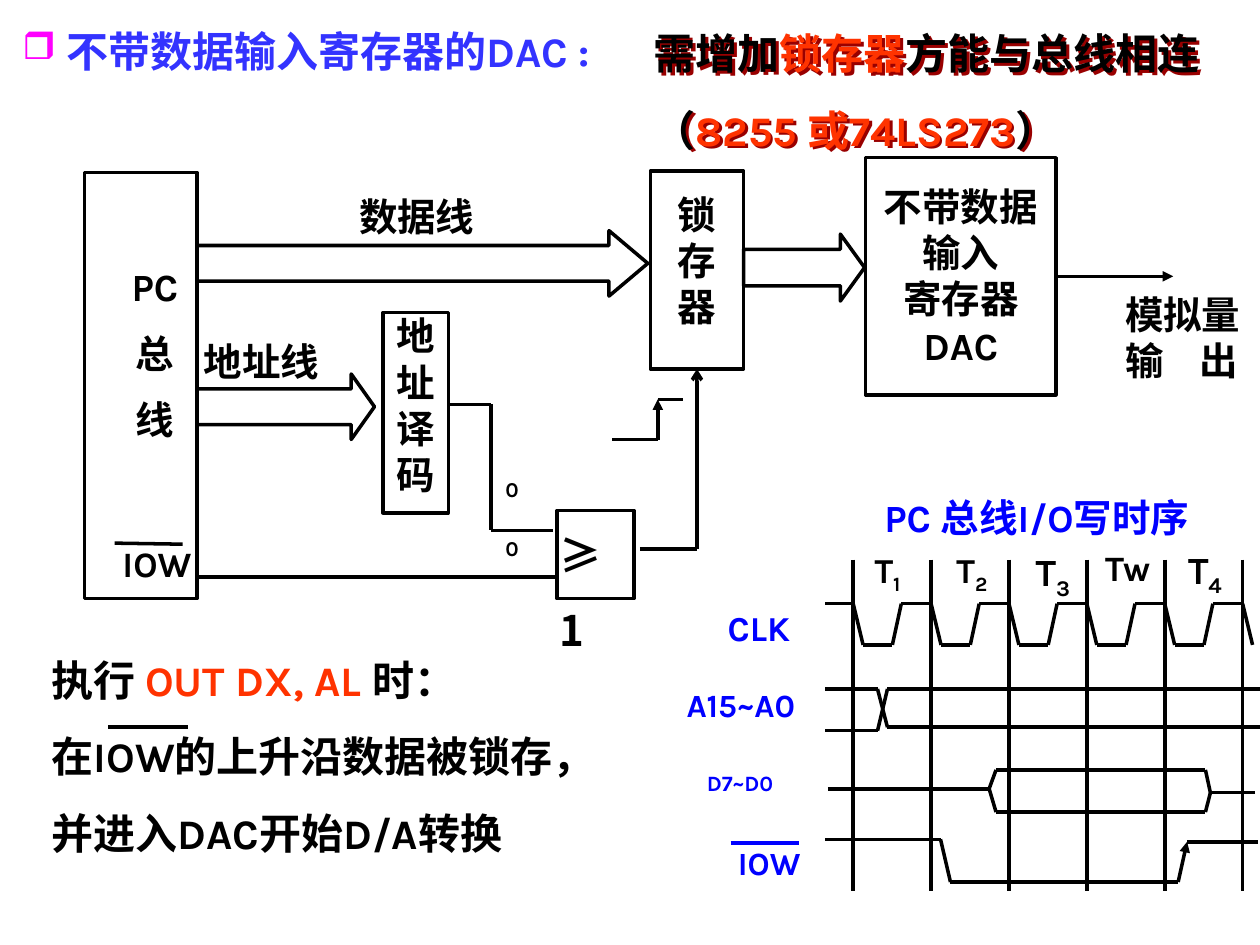
from lxml import etree
from pptx import Presentation
from pptx import util as u
from pptx.dml.color import RGBColor
from pptx.enum import shapes, text
from pptx.oxml import ns

BLACK = RGBColor(0, 0, 0)
BLUE = RGBColor(0x00, 0x00, 0xFF)
TITLE_BLUE = RGBColor(0x33, 0x33, 0xFF)
ORANGE = RGBColor(0xFF, 0x33, 0x00)
MAGENTA = RGBColor(0xFF, 0x00, 0xFF)
DARK_RED = RGBColor(0x99, 0x00, 0x00)
LATIN, CJK = "Karla", "Noto Sans CJK SC"
LEFT, CENTER, RIGHT = text.PP_ALIGN.LEFT, text.PP_ALIGN.CENTER, text.PP_ALIGN.RIGHT


def sub(parent, tag, **attrs):
    el = etree.SubElement(parent, ns.qn(tag))
    for key, value in attrs.items():
        el.set(key, str(value))
    return el


def add_run(p, words, size, color, font=LATIN, baseline=None):
    r = p.add_run()
    r.text = words
    r.font.size, r.font.bold, r.font.name = u.Pt(size), True, font
    r.font.color.rgb = color
    rPr = r._r.get_or_add_rPr()
    sub(rPr, "a:ea", typeface=CJK)
    if baseline:
        rPr.set("baseline", str(baseline))


def set_bullet(p, char=None, indent=0):
    pPr = p._p.get_or_add_pPr()
    pPr.set("marL", str(u.Cm(indent)))
    pPr.set("indent", str(-u.Cm(indent)))
    if char:
        sub(sub(pPr, "a:buClr"), "a:srgbClr", val=MAGENTA)
        sub(pPr, "a:buSzPct", val=90000)
        sub(pPr, "a:buChar", char=char)
    else:
        sub(pPr, "a:buNone")


def write(sp, paras, size=22, color=BLACK, align=LEFT, gap=0, margins=(0, 0),
          wrap=True, font=LATIN, spacing=1.0):
    tf = sp.text_frame
    tf.word_wrap, tf.auto_size = wrap, text.MSO_AUTO_SIZE.NONE
    tf.vertical_anchor = text.MSO_ANCHOR.TOP
    tf.margin_left = tf.margin_right = u.Cm(margins[0])
    tf.margin_top, tf.margin_bottom = u.Cm(margins[1]), 0
    for i, para in enumerate(paras):
        p = tf.paragraphs[0] if i == 0 else tf.add_paragraph()
        p.alignment, p.line_spacing = align, spacing
        p.space_before = u.Pt(gap if i else 0)
        for words, run_color in [(para, color)] if isinstance(para, str) else para:
            add_run(p, words, size, run_color, font)
    return tf


def add_label(s, at, paras, **style):
    sp = s.shapes.add_textbox(*map(u.Cm, at))
    write(sp, paras, **style)
    return sp


def add_block(s, at, paras=(), kind=shapes.MSO_SHAPE.RECTANGLE, adj=(), **style):
    sp = s.shapes.add_shape(kind, *map(u.Cm, at))
    sp.shadow.inherit = False
    sp.fill.background()
    sp.line.color.rgb, sp.line.width = BLACK, u.Pt(2)
    for i, value in enumerate(adj):
        sp.adjustments[i] = value
    write(sp, paras, align=CENTER, **style)
    return sp


def add_line(s, start, end, color=BLACK, width=2, head=None):
    ln = s.shapes.add_connector(shapes.MSO_CONNECTOR.STRAIGHT, *map(u.Cm, start + end))
    ln.line.color.rgb, ln.line.width = color, u.Pt(width)
    if head:
        sub(ln.line._get_or_add_ln(), "a:tailEnd", type=head)
    sub(ln._element.spPr, "a:effectLst")
    return ln


def add_path(s, points, arrow_at=None):
    for i, (start, end) in enumerate(zip(points, points[1:])):
        add_line(s, start, end, head="triangle" if i == arrow_at else None)


def place(sp, at):
    sp.left, sp.top, sp.width, sp.height = map(u.Cm, at)


def add_headings(s):
    title, body = s.placeholders
    place(title, (0.2, 0.38, 12.7, 1.27))
    tf = write(title, ["不带数据输入寄存器的DAC :"], 24, TITLE_BLUE, margins=(0.25, 0.13))
    set_bullet(tf.paragraphs[0], "❒", 0.89)

    note = add_label(s, (12.93, 0.43, 11.5, 2.82), [
        [("需增加", BLACK), ("锁存器", ORANGE), ("方能与总线相连", BLACK)],
        [("（", BLACK), ("8255 或74LS273", ORANGE), ("）", BLACK)],
    ], size=24, gap=15, margins=(0.25, 0.13), wrap=False)
    effects = sub(note._element.spPr, "a:effectLst")
    shadow = sub(effects, "a:outerShdw", dist=u.Pt(2), dir=2700000, algn="ctr")
    sub(shadow, "a:srgbClr", val=DARK_RED)

    place(body, (0.79, 13.06, 12.04, 4.37))
    tf = write(body, [
        [("执行 ", BLACK), ("OUT DX, AL ", ORANGE), ("时：", BLACK)],
        "在IOW的上升沿数据被锁存，",
        "并进入DAC开始D/A转换",
    ], 24, gap=15, margins=(0.25, 0.13), wrap=False)
    for p in tf.paragraphs:
        set_bullet(p)
    add_line(s, (2.18, 14.66), (3.78, 14.66), width=2.25)


def add_circuit(s):
    add_block(s, (1.7, 3.48, 2.27, 8.59))
    add_label(s, (2.49, 5.31, 1.27, 4.6), ["PC", "总", "线"], align=CENTER, gap=11.5)
    add_block(s, (7.72, 6.3, 1.32, 4.04), list("地址译码"))
    latch = add_block(s, (13.11, 3.45, 1.88, 3.99), list("锁存器"), margins=(0, 0.4))
    dac = add_block(s, (17.45, 3.18, 3.84, 4.78),
                    ["不带数据", "输入", "寄存器", "DAC"], margins=(0, 0.51))
    add_block(s, (11.23, 10.29, 1.55, 1.78))
    add_label(s, (11.28, 10.16, 1.3, 1.57), ["≥1"], size=24, font=CJK, spacing=1.5)

    for at, head in (((3.97, 4.65, 9.09, 1.32), 0.593),
                     ((3.97, 7.54, 3.58, 1.32), 0.355),
                     ((14.99, 4.72, 2.44, 1.35), 0.362)):
        add_block(s, at, kind=shapes.MSO_SHAPE.RIGHT_ARROW, adj=(0.545, head))

    add_label(s, (7.24, 3.89, 2.72, 0.99), ["数据线"])
    add_label(s, (4.11, 6.81, 3.91, 0.99), ["地址线"])
    add_label(s, (1.93, 10.92, 1.93, 0.86), ["IOW"], size=20.4, align=RIGHT)
    add_line(s, (2.31, 10.95), (3.68, 10.97))
    for top in (9.6, 10.8):
        add_label(s, (10.19, top, 0.41, 0.99), ["0"], size=12.1)

    output = add_label(s, (22.68, 5.87, 2.72, 1.93), ["模拟量", "输\t出"])
    tabs = sub(output.text_frame.paragraphs[1]._p.get_or_add_pPr(), "a:tabLst")
    sub(tabs, "a:tab", pos=u.Cm(1.5), algn="l")

    add_line(s, (3.97, 11.63), (11.23, 11.63))
    add_path(s, [(9.04, 8.15), (9.9, 8.15), (9.9, 10.69), (11.15, 10.69)])
    add_path(s, [(12.34, 8.86), (13.26, 8.86), (13.26, 8.05), (13.77, 8.05)], arrow_at=1)
    add_line(s, (12.9, 11.07), (14.05, 11.07))
    add_line(s, (14.05, 11.07), (14.05, 7.44), head="arrow").end_connect(latch, 2)
    add_line(s, (21.29, 5.57), (23.65, 5.57), head="triangle").begin_connect(dac, 3)


def add_timing(s):
    add_label(s, (17.83, 9.96, 7.06, 1.07), ["PC 总线I/O写时序"], color=BLUE)
    for name, at, size, align in (
            ("CLK", (14.4, 12.22, 1.8, 1.04), 20, CENTER),
            ("A15~A0", (13.84, 13.82, 2.79, 0.81), 18.5, LEFT),
            ("D7~D0", (14.25, 15.52, 2.13, 0.56), 12.5, LEFT),
            ("IOW", (14.5, 16.99, 2.01, 0.84), 18.5, CENTER)):
        add_label(s, at, [name], size=size, color=BLUE, align=align)
    add_line(s, (14.73, 16.99), (16.1, 16.99), BLUE)

    for sign, left, top, size in (("1", 17.63, 11.05, 20), ("2", 19.28, 11.05, 20),
                                  ("3", 20.88, 11.05, 22), ("w", 22.28, 11, 20.4),
                                  ("4", 23.95, 11, 22)):
        state = "Tw" if sign == "w" else "T"
        sp = add_label(s, (left, top, 1.1, 1.27), [state], size=size)
        if state == "T":
            add_run(sp.text_frame.paragraphs[0], sign, size, BLACK, baseline=-25000)

    edges = [17.2 + 1.57 * i for i in range(6)]
    high, low = 12.17, 13
    clock = [(16.64, high)]
    for x in edges:
        add_line(s, (x, 11.28), (x, 17.96))
        clock += [(x, high), (x + 0.2, low), (x + 0.79, low), (x + 0.97, high)]
    add_path(s, clock[:-2])

    add_path(s, [(16.64, 13.89), (17.69, 13.89), (17.89, 14.66), (25.4, 14.66)])
    add_path(s, [(16.64, 14.73), (17.69, 14.73), (17.89, 13.89), (25.4, 13.89)])
    add_path(s, [(16.69, 15.9), (19.94, 15.9), (20.08, 15.52), (24.3, 15.52), (24.4, 15.98)])
    add_path(s, [(19.94, 15.9), (20.08, 16.37), (24.3, 16.37), (24.4, 15.98), (25.3, 15.98)])
    add_path(s, [(16.64, 16.92), (18.96, 16.92), (19.16, 17.78), (23.75, 17.78),
                 (23.93, 16.97), (25.35, 16.97)], arrow_at=3)


def main():
    prs = Presentation()
    prs.slide_width, prs.slide_height = u.Cm(25.4), u.Cm(19.05)
    s = prs.slides.add_slide(prs.slide_layouts[1])
    add_headings(s)
    add_circuit(s)
    add_timing(s)
    prs.save("out.pptx")


if __name__ == "__main__":
    main()
